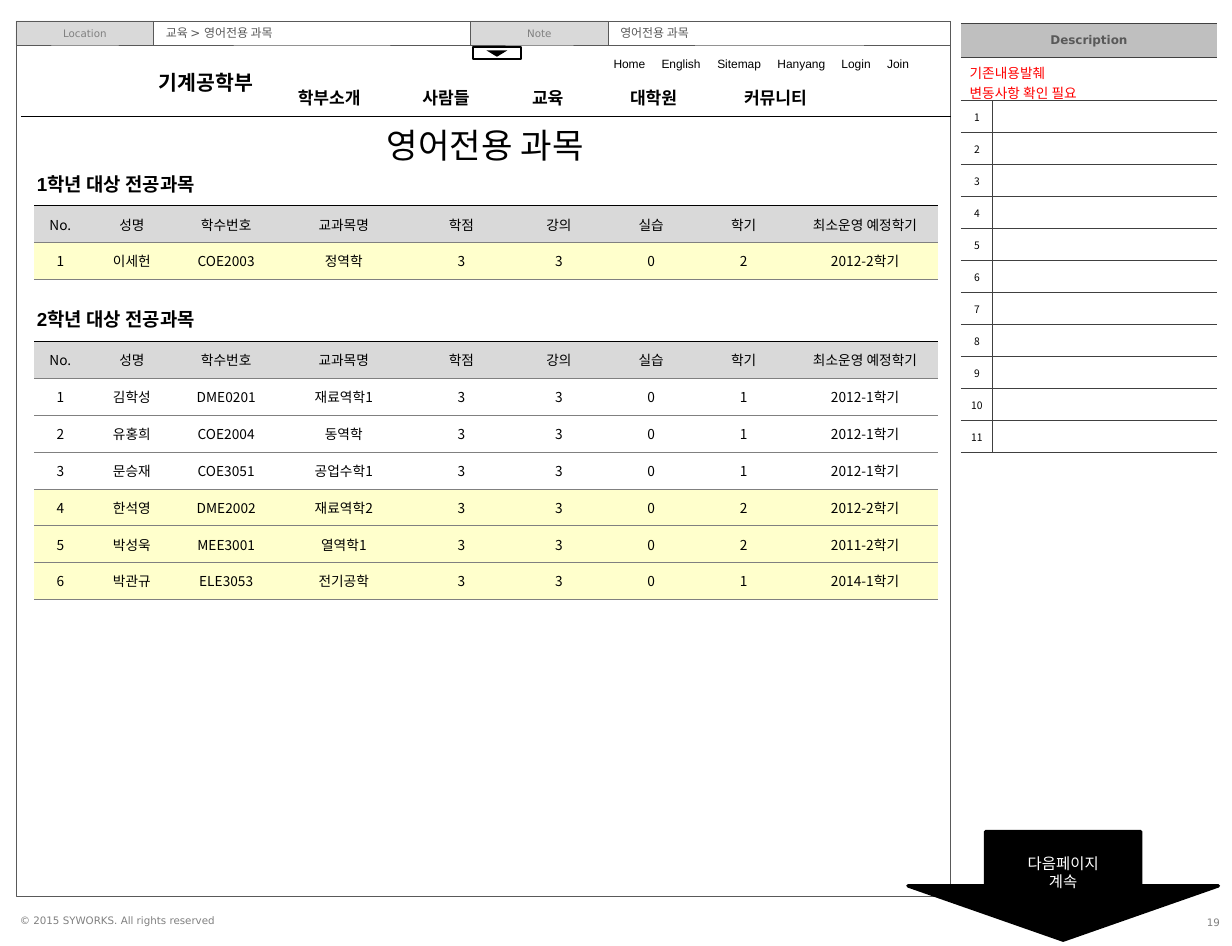
from dataclasses import dataclass
from typing import NamedTuple, Optional, Sequence

from lxml import etree
from pptx import Presentation
from pptx import util as u
from pptx.dml.color import RGBColor
from pptx.enum import shapes, text
from pptx.oxml.ns import qn


@dataclass(frozen=True)
class Theme:
    black: str = "000000"
    white: str = "FFFFFF"
    red: str = "FF0000"
    frame: str = "595959"
    muted: str = "808080"
    label_fill: str = "D9D9D9"
    panel_fill: str = "BFBFBF"
    panel_line: str = "404040"
    highlight: str = "FFFFCC"
    body: str = "Arial"
    wire: str = "DejaVu Sans"
    grid: str = "Noto Sans CJK KR"
    tiny: float = 6
    small: float = 7
    cell: float = 8
    note: float = 9
    menu: float = 10
    section: float = 11
    brand: float = 12
    title: float = 20


class Area(NamedTuple):
    left: float
    top: float
    width: float
    height: float

    def lengths(self) -> list:
        return [u.Cm(value) for value in self]


class Label(NamedTuple):
    words: str
    left: float
    width: float
    tag: bool


class Course(NamedTuple):
    teacher: str
    code: str
    subject: str
    semester: str
    planned: str
    highlighted: bool


class Section(NamedTuple):
    heading: str
    heading_top: float
    table_top: float
    courses: Sequence[Course]


THEME = Theme()
NO_STYLE = "{2D5ABB26-0587-4C30-8999-92F81FD0307C}"
CENTER, LEFT, RIGHT = text.PP_ALIGN.CENTER, text.PP_ALIGN.LEFT, text.PP_ALIGN.RIGHT
COLUMNS = ["No.", "성명", "학수번호", "교과목명", "학점", "강의", "실습", "학기", "최소운영 예정학기"]
COLUMN_WIDTHS = [1.07, 1.88, 2.01, 2.84, 2.01, 2.01, 1.8, 2.01, 3.0]
ROW_HEIGHT = 0.76

LABELS = [
    Label("Location", 0.33, 2.84, True),
    Label("교육 > 영어전용 과목", 3.17, 6.53, False),
    Label("Note", 9.7, 2.84, True),
    Label("영어전용 과목", 12.54, 7.06, False),
]
SECTIONS = [
    Section("1학년 대상 전공과목", 3.43, 4.24, [
        Course("이세헌", "COE2003", "정역학", "2", "2012-2학기", True),
    ]),
    Section("2학년 대상 전공과목", 6.22, 7.04, [
        Course("김학성", "DME0201", "재료역학1", "1", "2012-1학기", False),
        Course("유홍희", "COE2004", "동역학", "1", "2012-1학기", False),
        Course("문승재", "COE3051", "공업수학1", "1", "2012-1학기", False),
        Course("한석영", "DME2002", "재료역학2", "2", "2012-2학기", True),
        Course("박성욱", "MEE3001", "열역학1", "2", "2011-2학기", True),
        Course("박관규", "ELE3053", "전기공학", "1", "2014-1학기", True),
    ]),
]


def write(frame, words: str, *, size: float, font: str = THEME.body, color: str = THEME.black,
          bold: bool = False, align=LEFT, tabs: Sequence[float] = ()) -> None:
    for index, line in enumerate(words.split("\n")):
        para = frame.add_paragraph() if index else frame.paragraphs[0]
        para.alignment = align
        if tabs:
            stops = etree.SubElement(para._p.get_or_add_pPr(), qn("a:tabLst"))
            for stop in tabs:
                etree.SubElement(stops, qn("a:tab"), pos=str(u.Cm(stop)), algn="l")
        if not line:
            etree.SubElement(para._p, qn("a:endParaRPr"), sz=str(int(size * 100)))
            continue
        span = para.add_run()
        span.text = line
        span.font.name, span.font.size, span.font.bold = font, u.Pt(size), bold
        span.font.color.rgb = RGBColor.from_string(color)


def add_text(page, area: Area, words: str, *, wrap: bool = False, inset: bool = True,
             middle: bool = False, **style) -> None:
    frame = page.shapes.add_textbox(*area.lengths()).text_frame
    frame.word_wrap = wrap
    if not wrap:
        frame.auto_size = text.MSO_AUTO_SIZE.SHAPE_TO_FIT_TEXT
    if not inset:
        frame.margin_left = frame.margin_right = frame.margin_top = frame.margin_bottom = 0
    if middle:
        frame.vertical_anchor = text.MSO_ANCHOR.MIDDLE
    write(frame, words, **style)


def add_box(page, area: Area, *, kind=shapes.MSO_SHAPE.RECTANGLE, fill: Optional[str] = None,
            line: Optional[str] = None, weight: float = 0.25, rotation: float = 0,
            words: str = "", **style) -> None:
    box = page.shapes.add_shape(kind, *area.lengths())
    box.shadow.inherit = False
    box.rotation = rotation
    paint(box.fill, fill)
    paint(box.line.fill, line)
    if line:
        box.line.width = u.Pt(weight)
    if words:
        box.text_frame.word_wrap = True
        box.text_frame.vertical_anchor = text.MSO_ANCHOR.MIDDLE
        write(box.text_frame, words, **style)


def paint(fill, color: Optional[str]) -> None:
    if color:
        fill.solid()
        fill.fore_color.rgb = RGBColor.from_string(color)
    else:
        fill.background()


def add_grid(page, left: float, top: float, widths: Sequence[float], heights: Sequence[float]):
    area = Area(left, top, sum(widths), sum(heights))
    grid = page.shapes.add_table(len(heights), len(widths), *area.lengths()).table
    grid._tbl.tblPr.find(qn("a:tableStyleId")).text = NO_STYLE
    for column, width in zip(grid.columns, widths):
        column.width = u.Cm(width)
    for row, height in zip(grid.rows, heights):
        row.height = u.Cm(height)
    return grid


def fill_cell(cell, words: str, *, fill: Optional[str], borders: dict, weight: float,
              margins: Optional[tuple] = None, **style) -> None:
    for side in ("L", "R", "T", "B"):
        if side in borders:
            edge = etree.SubElement(cell._tc.get_or_add_tcPr(), qn(f"a:ln{side}"),
                                    w=str(u.Pt(weight)))
            solid = etree.SubElement(edge, qn("a:solidFill"))
            etree.SubElement(solid, qn("a:srgbClr"), val=borders[side])
    paint(cell.fill, fill)
    cell.vertical_anchor = text.MSO_ANCHOR.MIDDLE
    if margins:
        cell.margin_left = cell.margin_right = u.Cm(margins[0])
        cell.margin_top = cell.margin_bottom = u.Cm(margins[1])
    write(cell.text_frame, words, **style)


def add_section(page, section: Section) -> None:
    add_text(page, Area(0.51, section.heading_top, 4.14, 0.74), section.heading,
             size=THEME.section, bold=True)
    rows = [(COLUMNS, THEME.label_fill)]
    for number, course in enumerate(section.courses, 1):
        values = [str(number), course.teacher, course.code, course.subject,
                  "3", "3", "0", course.semester, course.planned]
        rows.append((values, THEME.highlight if course.highlighted else None))
    grid = add_grid(page, 0.71, section.table_top, COLUMN_WIDTHS, [ROW_HEIGHT] * len(rows))
    for row, (values, fill) in enumerate(rows):
        borders = {"T": THEME.muted if row else THEME.black, "B": THEME.muted}
        for column, value in enumerate(values):
            fill_cell(grid.cell(row, column), value, fill=fill, borders=borders, weight=0.25,
                      size=THEME.cell, font=THEME.grid, align=CENTER)


def add_description(page) -> None:
    grid = add_grid(page, 19.81, 0.48, [0.66, 4.62], [0.71, 0.89] + [0.66] * 11)
    edges = {"T": THEME.panel_line, "B": THEME.panel_line}
    common = dict(weight=0.5, margins=(0.18, 0.1))
    for row in (0, 1):
        grid.cell(row, 0).merge(grid.cell(row, 1))
    fill_cell(grid.cell(0, 0), "Description", fill=THEME.panel_fill, borders=edges, **common,
              size=THEME.small, font=THEME.wire, color=THEME.frame, bold=True, align=CENTER)
    fill_cell(grid.cell(1, 0), "기존내용발췌\n변동사항 확인 필요", fill=THEME.white, borders=edges,
              **common, size=THEME.cell, color=THEME.red)
    for number in range(1, 12):
        for column, words, side in ((0, str(number), "R"), (1, "", "L")):
            fill_cell(grid.cell(number + 1, column), words, fill=THEME.white,
                      borders={**edges, side: THEME.panel_line}, **common,
                      size=THEME.tiny, font=THEME.grid, align=CENTER)


def add_frame(page) -> None:
    add_text(page, Area(0.41, 18.85, 4.14, 0.25), "© 2015 SYWORKS. All rights reserved",
             inset=False, size=THEME.tiny, font=THEME.wire, color=THEME.muted)
    add_box(page, Area(0.33, 0.43, 19.27, 18.06), line=THEME.frame)
    for label in LABELS:
        add_box(page, Area(label.left, 0.43, label.width, 0.5), line=THEME.frame,
                fill=THEME.label_fill if label.tag else None, words=label.words,
                size=THEME.tiny if label.tag else THEME.small, font=THEME.wire,
                color=THEME.muted if label.tag else THEME.frame,
                align=CENTER if label.tag else LEFT)
    add_text(page, Area(24.21, 18.67, 1.19, 0.71), "19", wrap=True, middle=True,
             size=THEME.tiny, font=THEME.wire, color=THEME.muted, align=RIGHT)


def add_header(page) -> None:
    rule = page.shapes.add_connector(shapes.MSO_CONNECTOR.STRAIGHT, u.Cm(0.43), u.Cm(2.41),
                                     u.Cm(19.6), u.Cm(2.41))
    rule.line.width = u.Pt(0.75)
    rule.line.color.rgb = RGBColor.from_string(THEME.black)
    etree.SubElement(rule._element.spPr, qn("a:effectLst"))
    add_text(page, Area(3.02, 1.32, 2.64, 0.76), "기계공학부", size=THEME.brand, bold=True)
    add_text(page, Area(5.89, 1.68, 12.83, 0.69), "학부소개\t사람들\t교육\t대학원\t커뮤니티",
             wrap=True, size=THEME.menu, bold=True, tabs=(2.57, 4.83, 6.85, 9.2))
    add_text(page, Area(12.4, 1.04, 7.21, 0.56), "Home\tEnglish\tSitemap\tHanyang\tLogin\tJoin",
             wrap=True, size=THEME.small, tabs=(0.99, 2.14, 3.38, 4.7, 5.64))
    add_box(page, Area(9.75, 0.97, 0.99, 0.25), fill=THEME.white, line=THEME.black, weight=1)
    add_box(page, Area(10.03, 1.04, 0.43, 0.13), kind=shapes.MSO_SHAPE.ISOSCELES_TRIANGLE,
            fill=THEME.black, rotation=180)
    add_text(page, Area(7.49, 2.44, 5.03, 1.12), "영어전용 과목", size=THEME.title, align=CENTER)


def main() -> None:
    deck = Presentation()
    deck.slide_width, deck.slide_height = u.Cm(25.4), u.Cm(19.51)
    page = deck.slides.add_slide(deck.slide_layouts[6])
    add_frame(page)
    add_description(page)
    add_header(page)
    for section in SECTIONS:
        add_section(page, section)
    add_box(page, Area(18.72, 17.15, 6.4, 2.24), kind=shapes.MSO_SHAPE.DOWN_ARROW,
            fill=THEME.black, line=THEME.black, weight=2, words="다음페이지\n계속",
            size=THEME.note, font=THEME.grid, color=THEME.white, align=CENTER)
    deck.save("out.pptx")


if __name__ == "__main__":
    main()
